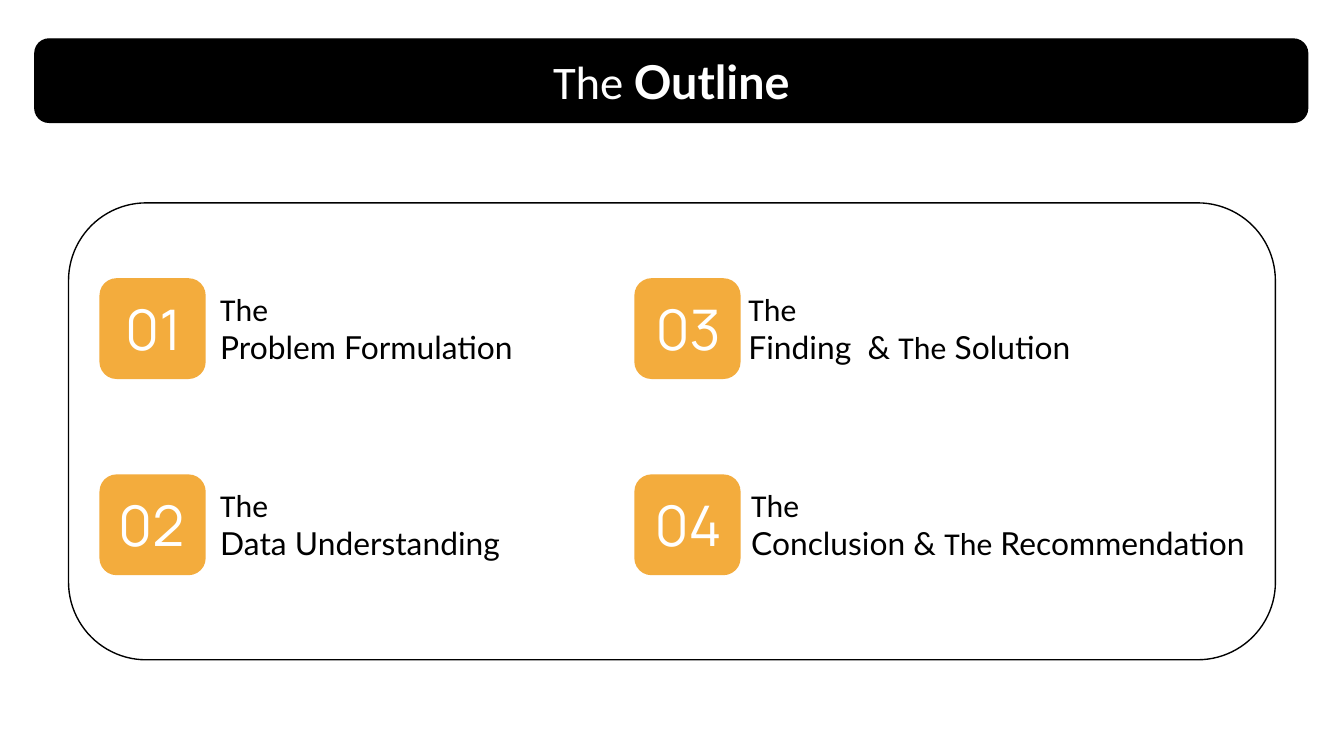
import pptx
import pptx.util
import pptx.dml.color
import pptx.enum.shapes
import pptx.enum.text

Inches = pptx.util.Inches
ALIGN = pptx.enum.text.PP_ALIGN
COLORS = {"black": "000000", "white": "FFFFFF", "orange": "F3AC3D"}

# Widescreen page, 16:9
deck = pptx.Presentation()
deck.slide_width, deck.slide_height = Inches(10), Inches(10 * 9 / 16)
page = deck.slides.add_slide(deck.slide_layouts[6])


def rounded(left, top, width, height, fill=None, line=None):
    shape = page.shapes.add_shape(
        pptx.enum.shapes.MSO_SHAPE.ROUNDED_RECTANGLE,
        Inches(left), Inches(top), Inches(width), Inches(height))
    shape.shadow.inherit = False
    shape.adjustments[0] = 0.17
    if fill:
        shape.fill.solid()
        shape.fill.fore_color.rgb = pptx.dml.color.RGBColor.from_string(COLORS[fill])
    else:
        shape.fill.background()
    if line:
        shape.line.color.rgb = pptx.dml.color.RGBColor.from_string(COLORS[line])
        shape.line.width = pptx.util.Pt(0.75)
    else:
        shape.line.fill.background()
    return shape


def write(text, at=None, shape=None, size=17, color="black", align=ALIGN.LEFT, bold_font=None):
    """Write (words, font) spans into a shape or a new box; "\\n" breaks the line."""
    box = shape or page.shapes.add_textbox(*[Inches(value) for value in at])
    frame = box.text_frame
    frame.word_wrap = True
    frame.vertical_anchor = pptx.enum.text.MSO_ANCHOR.MIDDLE
    frame.margin_left = frame.margin_right = Inches(0.1)
    frame.margin_top = frame.margin_bottom = Inches(0.1)
    para = frame.paragraphs[0]
    para.alignment = align
    para.font.size = pptx.util.Pt(size)
    for words, font in text:
        if words == "\n":
            para.add_line_break()
            continue
        span = para.add_run()
        span.text = words
        span.font.name = font
        span.font.size = pptx.util.Pt(size)
        span.font.bold = font == bold_font
        span.font.color.rgb = pptx.dml.color.RGBColor.from_string(COLORS[color])


# Outline panel
rounded(0.51, 1.51, 8.98, 3.4, line="black")

# Numbered topics: number, column left, row top, label left, label width, label spans
topics = [
    ("01", 0.74, 2.07, 1.54, 2.94, [("Problem Formulation", "Lato")]),
    ("02", 0.74, 3.53, 1.54, 2.94, [("Data Understanding", "Lato")]),
    ("03", 4.72, 2.07, 5.47, 2.94,
     [("Finding  & ", "Lato"), ("The", "Calibri"), (" Solution", "Lato")]),
    ("04", 4.72, 3.53, 5.49, 4.51,
     [("Conclusion & ", "Lato"), ("The", "Calibri"), (" Recommendation", "Lato")]),
]
for number, left, top, label_left, label_width, label in topics:
    rounded(left, top, 0.79, 0.75, fill="orange")
    text_top = top + 0.08
    number_width = 0.79 if number == "02" else 0.82
    write([(number, "Manrope")], at=(left - 0.01, text_top, number_width, 0.58),
          size=30, color="white", align=ALIGN.CENTER)
    write([("The", "Calibri"), ("\n", None)] + label,
          at=(label_left, text_top, label_width, 0.58))

# Title bar
title_bar = rounded(0.26, 0.29, 9.47, 0.62, fill="black", line="black")
write([("The ", "Calibri"), ("Outline", "Lato")], shape=title_bar, size=25,
      color="white", align=ALIGN.CENTER, bold_font="Lato")

deck.save("out.pptx")
